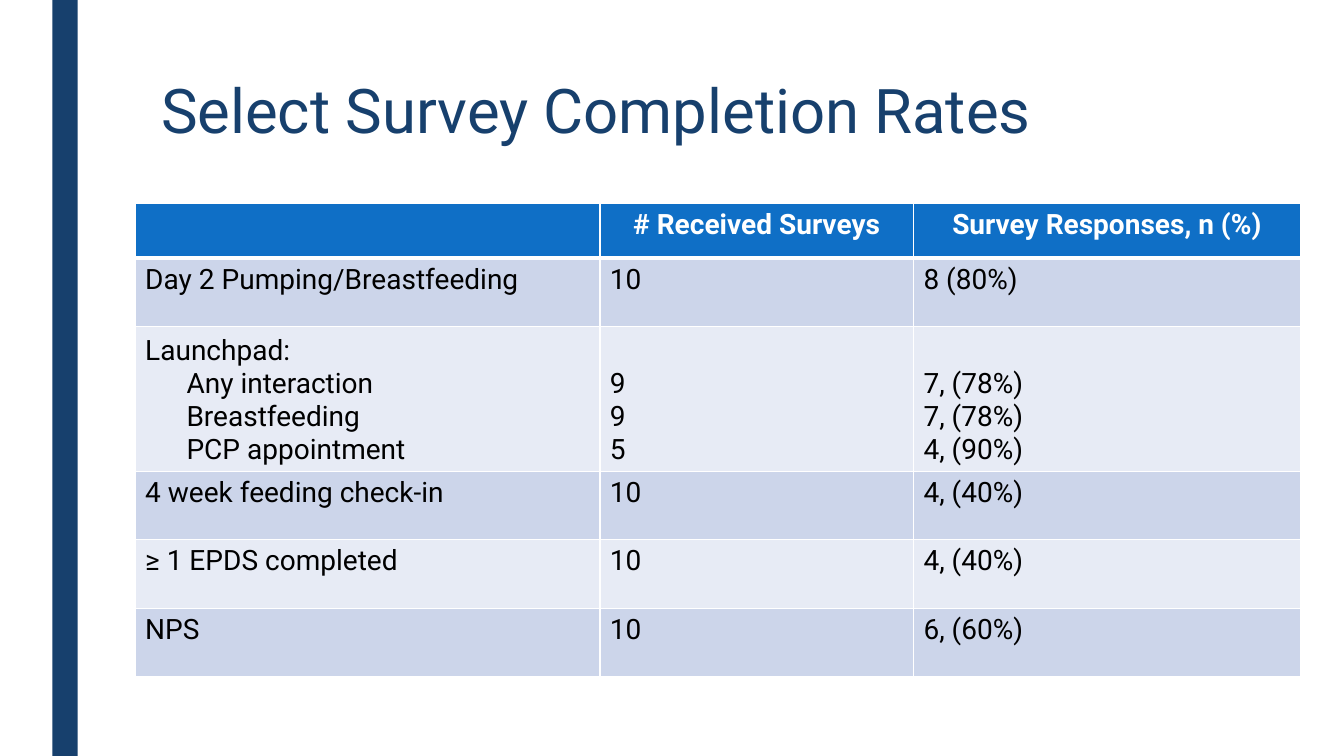
from lxml import etree
from pptx import Presentation, util as u
from pptx.dml.color import RGBColor
from pptx.enum import shapes, text
from pptx.oxml.ns import qn

NAVY = RGBColor(0x17, 0x40, 0x6D)
BLUE = RGBColor(0x0F, 0x6F, 0xC6)
BAND_DARK = RGBColor(0xCC, 0xD5, 0xEA)
BAND_LIGHT = RGBColor(0xE7, 0xEB, 0xF5)
WHITE = RGBColor(0xFF, 0xFF, 0xFF)
BLACK = RGBColor(0, 0, 0)
FONT = "Roboto"

WIDTH, HEIGHT = u.Inches(13.33), u.Inches(7.5)
COLUMNS = [4.61, 3.11, 3.84]
HEADER_ROW, PLAIN_ROW, GROUP_ROW = 0.54, 0.68, 1.41
SUB_INDENT = u.Inches(0.41)

HEADINGS = ["", "# Received Surveys", "Survey Responses, n (%)"]
# Each cell is a list of lines; a row with several lines is a group
SURVEYS = [
    [["Day 2 Pumping/Breastfeeding"], ["10"], ["8 (80%)"]],
    [["Launchpad:", "Any interaction", "Breastfeeding", "PCP appointment"],
     ["9", "9", "5"], ["7, (78%)", "7, (78%)", "4, (90%)"]],
    [["4 week feeding check-in"], ["10"], ["4, (40%)"]],
    [["≥ 1 EPDS completed"], ["10"], ["4, (40%)"]],
    [["NPS"], ["10"], ["6, (60%)"]],
]


def style_font(font, size, color, bold=False):
    font.name, font.size, font.bold = FONT, u.Pt(size), bold
    font.color.rgb = color


def add_side_bar(page):
    bar = page.shapes.add_shape(shapes.MSO_SHAPE.RECTANGLE, u.Inches(0.52), 0,
                                u.Inches(0.25), HEIGHT)
    bar.shadow.inherit = False
    bar.fill.solid()
    bar.fill.fore_color.rgb = NAVY
    bar.line.fill.background()


def add_title(page, words):
    box = page.shapes.add_textbox(u.Inches(1.5), int(HEIGHT * 0.1),
                                  u.Inches(10.5), u.Inches(1.62))
    box.text_frame.word_wrap = True
    box.text_frame.text = words
    para = box.text_frame.paragraphs[0]
    para.line_spacing = 0.89
    style_font(para.runs[0].font, 44, NAVY)


def set_borders(cell, top, bottom):
    properties = cell._tc.get_or_add_tcPr()
    for side, points in (("L", 1), ("R", 1), ("T", top), ("B", bottom)):
        line = etree.SubElement(properties, qn(f"a:ln{side}"), w=str(u.Pt(points)))
        fill = etree.SubElement(line, qn("a:solidFill"))
        etree.SubElement(fill, qn("a:srgbClr"), val=str(WHITE))


def fill_cell(cell, lines, fill, color, top=1, bottom=1, heading=False):
    set_borders(cell, top, bottom)
    cell.fill.solid()
    cell.fill.fore_color.rgb = fill
    cell.text_frame.text = "\n".join(lines)
    for para in cell.text_frame.paragraphs:
        if heading:
            para.alignment = text.PP_ALIGN.CENTER
        style_font(para.font, 20, color, heading)
        for span in para.runs:
            style_font(span.font, 20, color, heading)


def add_survey_table(page):
    heights = [HEADER_ROW] + [GROUP_ROW if len(row[0]) > 1 else PLAIN_ROW
                              for row in SURVEYS]
    table = page.shapes.add_table(
        len(heights), len(COLUMNS), u.Inches(1.34), u.Inches(2.02),
        u.Inches(sum(COLUMNS)), u.Inches(sum(heights))).table
    for column, width in zip(table.columns, COLUMNS):
        column.width = u.Inches(width)
    for row, height in zip(table.rows, heights):
        row.height = u.Inches(height)

    # Header row
    for c, heading in enumerate(HEADINGS):
        fill_cell(table.cell(0, c), [heading], BLUE, WHITE, bottom=3, heading=True)

    # Banded survey rows
    for r, survey in enumerate(SURVEYS, start=1):
        band = BAND_DARK if r % 2 else BAND_LIGHT
        for c, lines in enumerate(survey):
            cell = table.cell(r, c)
            fill_cell(cell, lines, band, BLACK, top=3 if r == 1 else 1)
            if len(lines) > 1:
                # Group values line up with the indented lines of the label
                cell.vertical_anchor = text.MSO_ANCHOR.BOTTOM
        for para in table.cell(r, 0).text_frame.paragraphs[1:]:
            para._p.get_or_add_pPr().set("marL", str(SUB_INDENT))


def main():
    deck = Presentation()
    deck.slide_width, deck.slide_height = WIDTH, HEIGHT
    page = deck.slides.add_slide(deck.slide_layouts[6])
    add_side_bar(page)
    add_title(page, "Select Survey Completion Rates")
    add_survey_table(page)
    deck.save("out.pptx")


if __name__ == "__main__":
    main()
